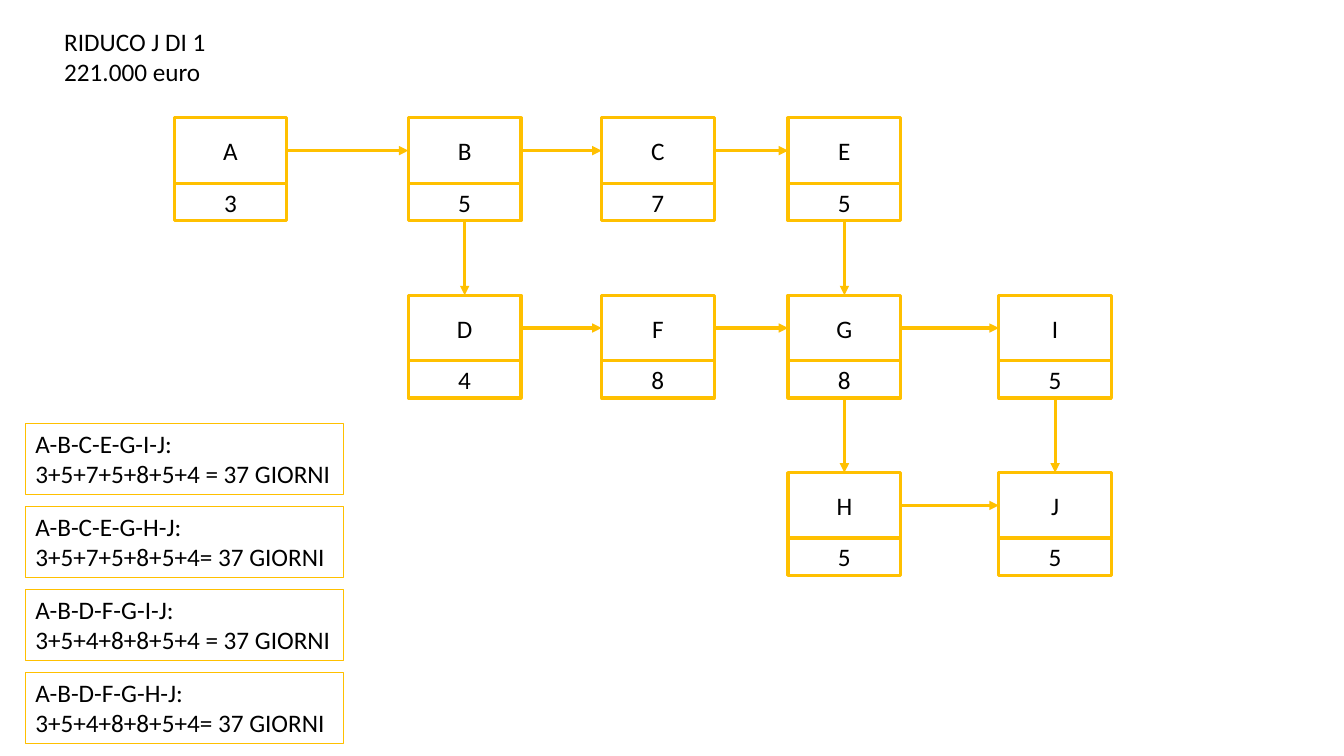
"""Build the activity network slide with its four path lengths."""
from lxml import etree
from pptx import Presentation
from pptx.dml import color
from pptx.enum import shapes, text
from pptx.oxml import ns
from pptx.util import Cm, Pt

AMBER = "FFC000"
BLACK = "000000"
COLUMNS = (4.39, 10.29, 15.16, 19.86, 25.17)
FIRST_ROW, ROW_PITCH = 2.97, 4.47
BOX_WIDTH, NAME_HEIGHT, DAYS_HEIGHT = 2.84, 1.65, 0.94
TOP, LEFT, BOTTOM, RIGHT = range(4)

ACTIVITIES = {
    "A": (0, 0, 3), "B": (1, 0, 5), "C": (2, 0, 7), "D": (1, 1, 4),
    "E": (3, 0, 5), "F": (2, 1, 8), "G": (3, 1, 8), "H": (3, 2, 5),
    "J": (4, 2, 5), "I": (4, 1, 5),
}
ACROSS = ("AB", "BC", "CE", "HJ", "DF", "FG", "GI")
DOWN = ("EG", "GH", "BD", "IJ")
PATHS = (
    ("A-B-C-E-G-I-J:", "3+5+7+5+8+5+4 = 37 GIORNI"),
    ("A-B-C-E-G-H-J:", "3+5+7+5+8+5+4= 37 GIORNI"),
    ("A-B-D-F-G-I-J:", "3+5+4+8+8+5+4 = 37 GIORNI"),
    ("A-B-D-F-G-H-J:", "3+5+4+8+8+5+4= 37 GIORNI"),
)
PATH_TOP, PATH_PITCH = 10.67, 2.09


def rgb(value):
    """Turn a hex string into a colour."""
    return color.RGBColor.from_string(value)


def set_line(item, width):
    """Give a shape or connector an amber line."""
    item.line.color.rgb = rgb(AMBER)
    item.line.width = Pt(width)


def write(frame, lines, alignment):
    """Write one paragraph for each line of text."""
    for index, line in enumerate(lines):
        para = frame.add_paragraph() if index else frame.paragraphs[0]
        para.alignment = alignment
        span = para.add_run()
        span.text = line
        span.font.name = "Calibri"
        span.font.size = Pt(18)
        span.font.color.rgb = rgb(BLACK)


def add_cell(page, left, top, height, label):
    """Add one outlined rectangle with a centred label."""
    box = page.shapes.add_shape(
        shapes.MSO_SHAPE.RECTANGLE, Cm(left), Cm(top), Cm(BOX_WIDTH), Cm(height))
    box.shadow.inherit = False
    box.fill.background()
    set_line(box, 2.25)
    box.text_frame.vertical_anchor = text.MSO_ANCHOR.MIDDLE
    write(box.text_frame, [label], text.PP_ALIGN.CENTER)
    return box


def add_activity(page, name, column, row, days):
    """Add an activity and return its name and days rectangles."""
    left, top = COLUMNS[column], FIRST_ROW + row * ROW_PITCH
    return (add_cell(page, left, top, NAME_HEIGHT, name),
            add_cell(page, left, top + NAME_HEIGHT, DAYS_HEIGHT, str(days)))


def add_arrow(page, start, start_side, end, end_side):
    """Join two rectangles with an arrow."""
    arrow = page.shapes.add_connector(shapes.MSO_CONNECTOR.STRAIGHT, 0, 0, 0, 0)
    arrow.begin_connect(start, start_side)
    arrow.end_connect(end, end_side)
    set_line(arrow, 2.25)
    etree.SubElement(arrow.line._get_or_add_ln(), ns.qn("a:tailEnd"), type="triangle")
    etree.SubElement(arrow._element.spPr, ns.qn("a:effectLst"))


def add_note(page, left, top, width, lines):
    """Add a two-line text box."""
    box = page.shapes.add_textbox(Cm(left), Cm(top), Cm(width), Cm(1.8))
    box.text_frame.word_wrap = False
    box.text_frame.auto_size = text.MSO_AUTO_SIZE.SHAPE_TO_FIT_TEXT
    write(box.text_frame, lines, text.PP_ALIGN.LEFT)
    return box


def main():
    """Build and save the deck."""
    deck = Presentation()
    deck.slide_width, deck.slide_height = Cm(33.87), Cm(19.05)
    page = deck.slides.add_slide(deck.slide_layouts[6])

    cells = {name: add_activity(page, name, *place)
             for name, place in ACTIVITIES.items()}
    for start, end in ACROSS:
        add_arrow(page, cells[start][0], RIGHT, cells[end][0], LEFT)
    for start, end in DOWN:
        add_arrow(page, cells[start][1], BOTTOM, cells[end][0], TOP)

    for index, lines in enumerate(PATHS):
        set_line(add_note(page, 0.64, PATH_TOP + index * PATH_PITCH, 8.03, lines), 0.75)
    add_note(page, 1.37, 0.53, 4.11, ("RIDUCO J DI 1", "221.000 euro"))
    deck.save("out.pptx")


if __name__ == "__main__":
    main()
